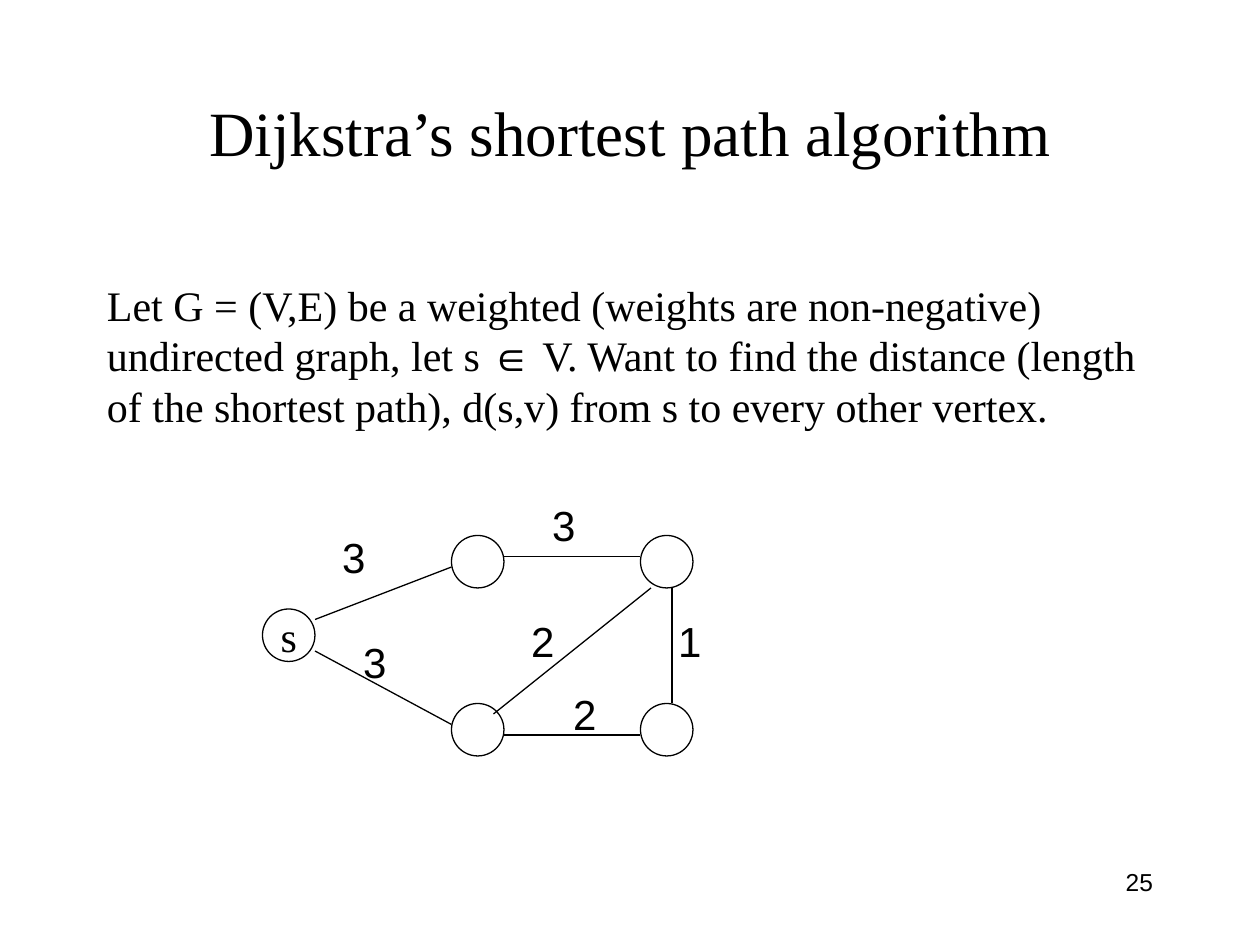
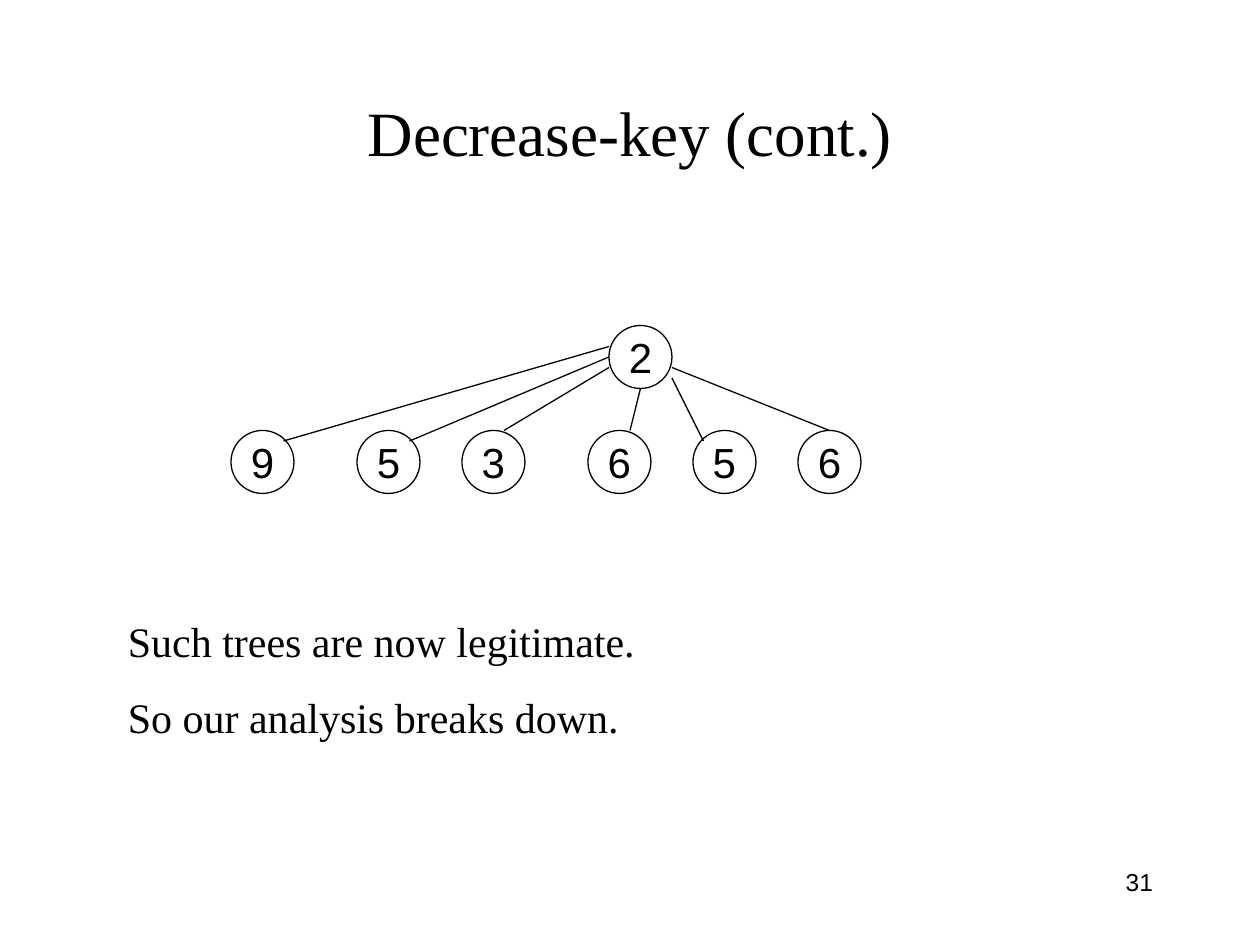
from pptx import Presentation
from pptx.dml.color import RGBColor
from pptx.enum.shapes import MSO_CONNECTOR, MSO_SHAPE
from pptx.enum.text import MSO_ANCHOR, MSO_AUTO_SIZE, PP_ALIGN
from pptx.oxml.ns import qn
from pptx.util import Cm, Pt
from lxml import etree

BLACK = RGBColor(0x00, 0x00, 0x00)
WHITE = RGBColor(0xFF, 0xFF, 0xFF)
SERIF, SANS = "Times New Roman", "Arial"
LEFT, CENTER, RIGHT = PP_ALIGN.LEFT, PP_ALIGN.CENTER, PP_ALIGN.RIGHT
TOP, MIDDLE = MSO_ANCHOR.TOP, MSO_ANCHOR.MIDDLE
OVAL, STRAIGHT = MSO_SHAPE.OVAL, MSO_CONNECTOR.STRAIGHT
FIXED = MSO_AUTO_SIZE.NONE
LINE_WIDTH = Pt(0.75)
PARA_GAP = Pt(15)
CELLS_PER_INCH = 12

TITLE_BOX = (9, 5, 102, 15)
NUMBER_BOX = (86, 82, 25, 6)

TITLE_FORMAT = {"name": SERIF, "size": Pt(36)}
BODY_FORMAT = {"name": SERIF, "size": Pt(24)}
DIGIT_FORMAT = {"name": SANS, "size": Pt(24)}
NUMBER_FORMAT = {"name": SANS, "size": Pt(14)}


def grid(*cells):
    return [Cm(2.54 * cell / CELLS_PER_INCH) for cell in cells]


def set_values(target, values):
    for name, value in values.items():
        setattr(target, name, value)


def write(frame, paras, font, align=LEFT, anchor=TOP, wrap=True):
    set_values(frame, {"word_wrap": wrap, "vertical_anchor": anchor, "auto_size": FIXED})
    for index, spans in enumerate(paras):
        para = frame.add_paragraph() if index else frame.paragraphs[0]
        para.alignment = align
        para.space_before = PARA_GAP if index else Pt(0)
        for text, changes in spans:
            span = para.add_run()
            span.text = text
            set_values(span.font, {**font, **changes})
            span.font.color.rgb = BLACK


def add_text(page, box, paras, font, align=LEFT):
    frame = page.shapes.add_textbox(*grid(*box)).text_frame
    write(frame, paras, font, align)


def add_page(deck, title, number):
    page = deck.slides.add_slide(deck.slide_layouts[5])
    page.background.fill.solid()
    page.background.fill.fore_color.rgb = WHITE
    heading = page.shapes.title
    left, top, width, height = grid(*TITLE_BOX)
    set_values(heading, {"left": left, "top": top, "width": width, "height": height})
    write(heading.text_frame, [[(title, {})]], TITLE_FORMAT, CENTER, MIDDLE)
    add_text(page, NUMBER_BOX, [[(number, {})]], NUMBER_FORMAT, RIGHT)
    return page


def set_line(shape):
    shape.line.color.rgb = BLACK
    shape.line.width = LINE_WIDTH


def add_node(page, left, top, size, label):
    node = page.shapes.add_shape(OVAL, *grid(left, top, size, size))
    node.shadow.inherit = False
    node.fill.background()
    set_line(node)
    if label:
        font = DIGIT_FORMAT if label.isdigit() else BODY_FORMAT
        write(node.text_frame, [[(label, {})]], font, CENTER, MIDDLE, False)


def add_edge(page, left, top, ends):
    x1, y1, x2, y2 = ends
    edge = page.shapes.add_connector(
        STRAIGHT, *grid(left + x1, top + y1, left + x2, top + y2))
    set_line(edge)
    etree.SubElement(edge._element.spPr, qn("a:effectLst"))


def add_graph(page, left, top, size, nodes, edges, weights=()):
    for x, y, label in nodes:
        add_node(page, left + x, top + y, size, label)
    for ends in edges:
        add_edge(page, left, top, ends)
    for x, y, weight in weights:
        add_text(page, (left + x, top + y, 5, 6), [[(weight, {})]], DIGIT_FORMAT, RIGHT)


def add_shortest_path_page(deck):
    page = add_page(deck, "Dijkstra’s shortest path algorithm", "25")
    add_text(page, (9, 26, 104, 16), [[
        ("Let G = (V,E) be a weighted (weights are non-negative) "
         "undirected graph, let s ", {}),
        ("∈", {"name": SANS}),
        (" V. Want to find the distance (length of the shortest path), "
         "d(s,v) from s to every other vertex.", {}),
    ]], BODY_FORMAT)
    nodes = [(0, 11, "s")] + [(x, y, "") for x in (18, 36) for y in (4, 20)]
    edges = [(5, 12, 18, 7), (5, 15, 18, 22), (23, 23, 36, 23),
             (22, 21, 37, 9), (39, 20, 39, 9), (23, 6, 36, 6)]
    weights = [(6, 3, "3"), (8, 13, "3"), (24, 11, "2"),
               (26, 0, "3"), (28, 18, "2"), (38, 11, "1")]
    add_graph(page, 25, 47, 5, nodes, edges, weights)


def add_decrease_key_page(deck):
    page = add_page(deck, "Decrease-key (cont.)", "31")
    children = zip((0, 12, 22, 34, 44, 54), "953656")
    nodes = [(36, 0, "2")] + [(x, 10, key) for x, key in children]
    edges = [(36, 2, 5, 11), (36, 3, 17, 11), (36, 4, 26, 10),
             (39, 6, 38, 10), (42, 5, 45, 11), (42, 4, 57, 10)]
    add_graph(page, 22, 31, 6, nodes, edges)
    add_text(page, (11, 58, 97, 13), [
        [("Such trees are now legitimate.", {})],
        [("So our analysis breaks down.", {})],
    ], BODY_FORMAT)


def main():
    deck = Presentation()
    deck.slide_width, deck.slide_height = Cm(25.4), Cm(19.05)
    add_shortest_path_page(deck)
    add_decrease_key_page(deck)
    deck.save("out.pptx")


if __name__ == "__main__":
    main()
